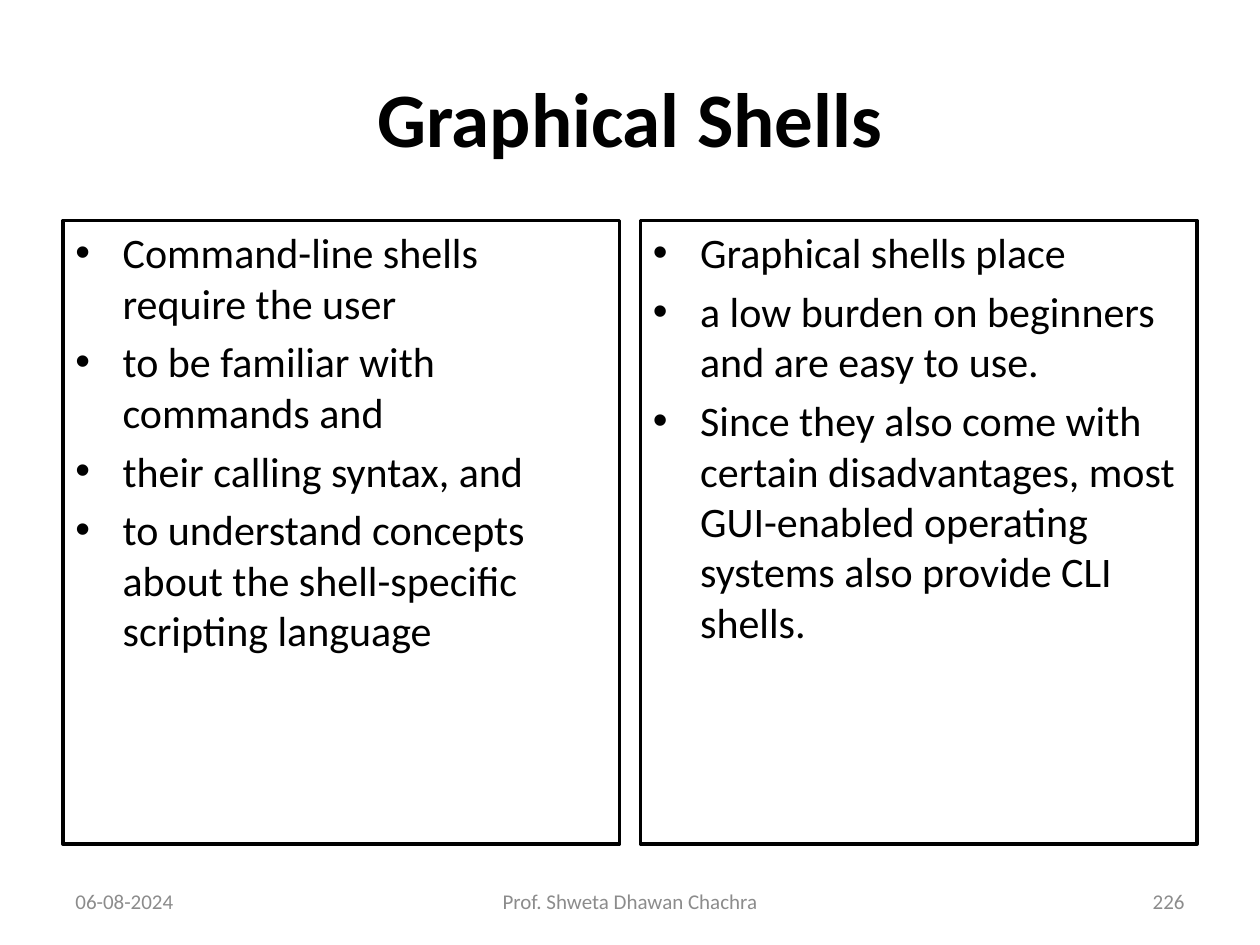
from lxml.etree import SubElement
from pptx import Presentation
from pptx.dml.color import RGBColor
from pptx.enum.shapes import MSO_SHAPE as Shape
from pptx.enum.text import MSO_ANCHOR as Anchor, PP_ALIGN as Align
from pptx.oxml.ns import qn
from pptx.util import Pt

BLACK = RGBColor(0x00, 0x00, 0x00)
WHITE = RGBColor(0xFF, 0xFF, 0xFF)
GREY = RGBColor(0x8C, 0x8C, 0x8C)

MARGIN, COLUMN_WIDTH, COLUMN_GAP = 36, 318, 12
COLUMN_TOP, COLUMN_HEIGHT = 126, 356.4
FOOTER_TOP, FOOTER_HEIGHT = 500.4, 28.8

COLUMNS = [
    ["Command-line shells require the user",
     "to be familiar with commands and",
     "their calling syntax, and",
     "to understand concepts about the shell-specific scripting language"],
    ["Graphical shells place",
     "a low burden on beginners and are easy to use.",
     "Since they also come with certain disadvantages, most GUI-enabled "
     "operating systems also provide CLI shells."],
]
FOOTERS = [
    ("06-08-2024", 36, 168, Align.LEFT),
    ("Prof. Shweta Dhawan Chachra", 246, 228, Align.CENTER),
    ("226", 516, 168, Align.RIGHT),
]


class SlideWriter:
    """Holds the text style and the current page."""

    font_name = "Calibri"
    bullet_indent = 27

    def __init__(self, page):
        self.page = page

    def format(self, para, size, color, bold=False, align=Align.LEFT):
        para.alignment = align
        values = {"name": self.font_name, "size": Pt(size), "bold": bold}
        for name, value in values.items():
            setattr(para.font, name, value)
        para.font.color.rgb = color

    def title(self, text, left, top, width, height):
        box = self.page.shapes.title
        places = {"left": left, "top": top, "width": width, "height": height}
        for name, value in places.items():
            setattr(box, name, Pt(value))
        frame = box.text_frame
        frame.text = text
        frame.vertical_anchor = Anchor.MIDDLE
        self.format(frame.paragraphs[0], 44, BLACK, True, Align.CENTER)

    def bullet(self, para):
        properties = para._p.get_or_add_pPr()
        indent = Pt(self.bullet_indent)
        properties.set("marL", str(indent))
        properties.set("indent", str(-indent))
        SubElement(properties, qn("a:buFont"), typeface="Arial")
        SubElement(properties, qn("a:buChar"), char="•")

    def bullet_panel(self, items, left, top, width, height):
        box = self.page.shapes.add_shape(
            Shape.RECTANGLE, Pt(left), Pt(top), Pt(width), Pt(height))
        box.shadow.inherit = False
        box.fill.solid()
        box.fill.fore_color.rgb = WHITE
        box.line.color.rgb = BLACK
        box.line.width = Pt(2)
        frame = box.text_frame
        frame.word_wrap = True
        frame.vertical_anchor = Anchor.TOP
        for index, item in enumerate(items):
            para = frame.add_paragraph() if index else frame.paragraphs[0]
            para.text = item
            para.space_before = Pt(4.8 if index else 0)
            self.bullet(para)
            self.format(para, 24, BLACK)

    def footer(self, text, left, width, align):
        box = self.page.shapes.add_textbox(
            Pt(left), Pt(FOOTER_TOP), Pt(width), Pt(FOOTER_HEIGHT))
        frame = box.text_frame
        frame.word_wrap = True
        frame.vertical_anchor = Anchor.MIDDLE
        frame.text = text
        self.format(frame.paragraphs[0], 12, GREY, align=align)


def main():
    deck = Presentation()
    deck.slide_width, deck.slide_height = Pt(720), Pt(540)
    writer = SlideWriter(deck.slides.add_slide(deck.slide_layouts[5]))

    # Title
    writer.title("Graphical Shells", MARGIN, 21.6, 648, 90)

    # Two framed columns
    for index, items in enumerate(COLUMNS):
        left = MARGIN + index * (COLUMN_WIDTH + COLUMN_GAP)
        writer.bullet_panel(items, left, COLUMN_TOP, COLUMN_WIDTH, COLUMN_HEIGHT)

    # Date, author and page number
    for footer in FOOTERS:
        writer.footer(*footer)

    deck.save("out.pptx")


if __name__ == "__main__":
    main()
